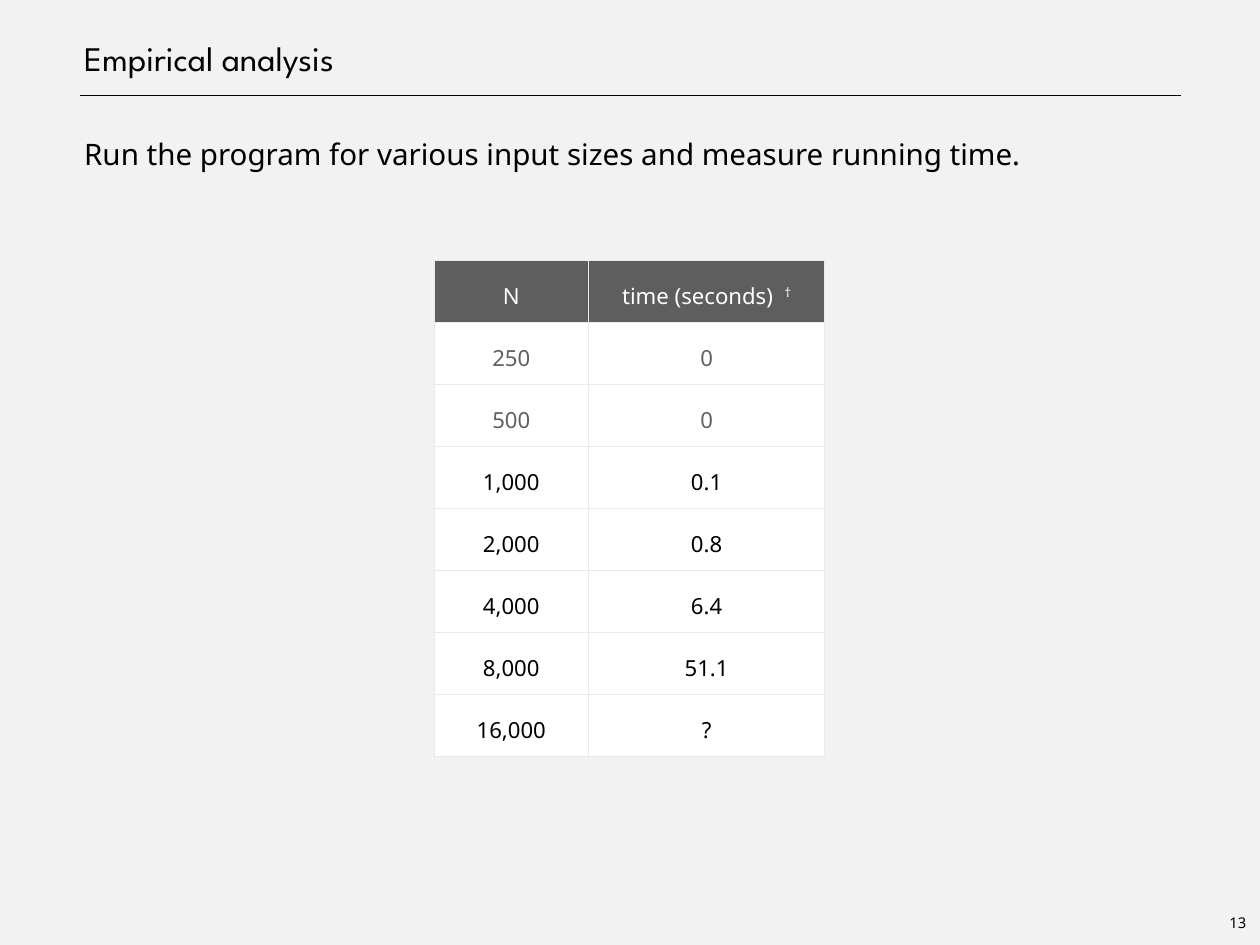
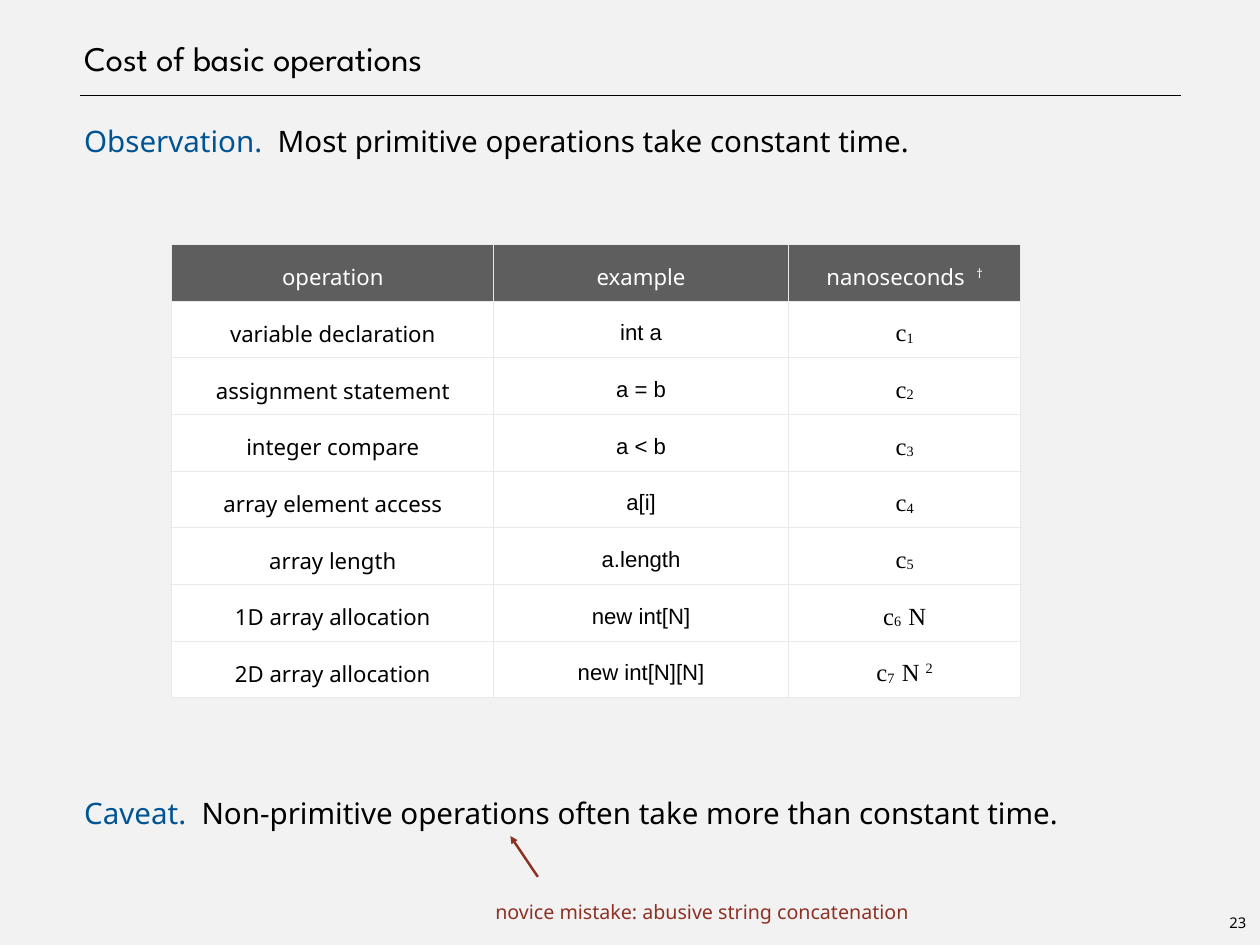
from dataclasses import dataclass

from lxml.etree import SubElement
from pptx import Presentation
from pptx.dml.color import RGBColor
from pptx.enum.shapes import MSO_CONNECTOR as Connector
from pptx.enum.text import MSO_ANCHOR as Anchor, PP_ALIGN as Align
from pptx.oxml.ns import qn
from pptx.util import Inches, Pt

PAPER, BLACK, WHITE = "F2F2F2", "000000", "FFFFFF"
BLUE, BRICK, HEADER, FAINT, BORDER = "005493", "8D3124", "5E5E5E", "606060", "E7EAEB"
SANS, TITLE, CODE, MATH = "Noto Sans", "League Spartan", "Arial", "Times New Roman"
SUB, SUPER = -6, 32
LEFT, WIDTH, PAD = 0.89, 12.44, 0.06


def rgb(color):
    return RGBColor.from_string(color)


@dataclass
class Span:
    """A run of text; baseline is a percentage, as for sub- and superscripts."""
    text: str
    size: float = 18
    color: str = BLACK
    font: str = SANS
    baseline: int = 0

    def add_to(self, paragraph):
        run = paragraph.add_run()
        run.text = self.text
        run.font.size = Pt(self.size)
        run.font.name = self.font
        run.font.color.rgb = rgb(self.color)
        if self.baseline:
            run._r.get_or_add_rPr().set("baseline", str(self.baseline * 1000))


class Deck:
    def __init__(self):
        self.prs = Presentation()
        self.prs.slide_width, self.prs.slide_height = Inches(14.22), Inches(10.67)
        self.slide = None

    def new_slide(self, title, number):
        self.slide = self.prs.slides.add_slide(self.prs.slide_layouts[6])
        fill = self.slide.background.fill
        fill.solid()
        fill.fore_color.rgb = rgb(PAPER)
        self.line((0.9, 1.08), (13.33, 1.08), BLACK, 1)
        self.text((LEFT, 0, WIDTH, 0.89), [[Span(title, 28, font=TITLE)]],
                  (PAD, 0, 0, 0), anchor=Anchor.BOTTOM)
        self.text((13.8, 10.26, 0.34, 0.31), [[Span(str(number), 12)]], (PAD,) * 4,
                  anchor=Anchor.MIDDLE, align=Align.CENTER, wrap=False)

    def text(self, box, paragraphs, insets, anchor=Anchor.TOP, align=Align.LEFT,
             wrap=True, spacing=None, gap=0):
        """Add a text box; gap is the space in points between paragraphs."""
        frame = self.slide.shapes.add_textbox(*map(Inches, box)).text_frame
        frame.word_wrap = wrap
        frame.vertical_anchor = anchor
        (frame.margin_left, frame.margin_top,
         frame.margin_right, frame.margin_bottom) = map(Inches, insets)
        for index, spans in enumerate(paragraphs):
            paragraph = frame.add_paragraph() if index else frame.paragraphs[0]
            paragraph.alignment = align
            if spacing:
                paragraph.line_spacing = spacing
            if index:
                paragraph.space_before = Pt(gap)
            for span in spans:
                span.add_to(paragraph)

    def body(self, top, paragraphs, gap=0):
        self.text((LEFT, top, WIDTH, 8.89), paragraphs, (PAD, 0, 0, 0),
                  spacing=Pt(39), gap=gap)

    def line(self, start, end, color, width, arrow_at_start=False):
        connector = self.slide.shapes.add_connector(
            Connector.STRAIGHT, *map(Inches, start + end))
        connector.line.color.rgb = rgb(color)
        connector.line.width = Pt(width)
        if arrow_at_start:
            SubElement(connector.line._get_or_add_ln(), qn("a:headEnd"), type="triangle")
        SubElement(connector._element.spPr, qn("a:effectLst"))

    def table(self, left, top, widths, row_height, rows):
        """Add a bordered table from rows of cells, each a list of spans."""
        table = self.slide.shapes.add_table(
            len(rows), len(widths), Inches(left), Inches(top),
            Inches(sum(widths)), Inches(row_height * len(rows))).table
        table.first_row = table.horz_banding = False
        for column, width in zip(table.columns, widths):
            column.width = Inches(width)
        for row_index, row in enumerate(rows):
            table.rows[row_index].height = Inches(row_height)
            for column_index, spans in enumerate(row):
                self.cell(table.cell(row_index, column_index), spans,
                          WHITE if row_index else HEADER)

    def cell(self, cell, spans, background):
        cell.margin_left = cell.margin_right = Inches(PAD)
        cell.margin_top = cell.margin_bottom = Inches(PAD)
        cell.vertical_anchor = Anchor.MIDDLE
        for side in ("lnL", "lnR", "lnT", "lnB"):
            edge = SubElement(cell._tc.get_or_add_tcPr(), qn(f"a:{side}"), w=str(Pt(1)))
            SubElement(SubElement(edge, qn("a:solidFill")), qn("a:srgbClr"), val=BORDER)
        cell.fill.solid()
        cell.fill.fore_color.rgb = rgb(background)
        paragraph = cell.text_frame.paragraphs[0]
        paragraph.alignment = Align.CENTER
        paragraph.line_spacing = 1.3
        for span in spans:
            span.add_to(paragraph)


def header_row(*labels):
    """Header cells, the last one marked with a dagger."""
    cells = [[Span(label, color=WHITE)] for label in labels]
    cells[-1] = [Span(labels[-1] + "  ", color=WHITE),
                 Span("†", color=WHITE, baseline=SUPER)]
    return cells


def cost(index, factor="", power=""):
    """Spans for a constant c with its index, and a power of N if given."""
    parts = [("c", 0), (f"{index}  " if factor else str(index), SUB),
             (factor, 0), (power, SUPER)]
    return [Span(text, 20, font=MATH, baseline=baseline)
            for text, baseline in parts if text]


def empirical_analysis(deck):
    deck.new_slide("Empirical analysis", 13)
    deck.body(1.39, [[Span(
        "Run the program for various input sizes and measure running time.", 24)]])
    timings = [("250", "0"), ("500", "0"), ("1,000", "0.1"), ("2,000", "0.8"),
               ("4,000", "6.4"), ("8,000", "51.1"), ("16,000", "?")]
    rows = [[[Span(value, color=FAINT if seconds == "0" else BLACK)]
             for value in (size, seconds)] for size, seconds in timings]
    deck.table(4.9, 2.94, (1.74, 2.67), 0.7, [header_row("N", "time (seconds)")] + rows)


def basic_operations(deck):
    deck.new_slide("Cost of basic operations", 23)
    deck.body(1.25, [
        [Span("Observation.  ", 24, BLUE),
         Span("Most primitive operations take constant time.", 24)],
        [Span("Caveat.  ", 24, BLUE),
         Span("Non-primitive operations often take more than constant time.", 24)],
    ], gap=507)
    operations = [
        ("variable declaration", "int a"),
        ("assignment statement", "a = b"),
        ("integer compare", "a < b"),
        ("array element access", "a[i]"),
        ("array length", "a.length"),
        ("1D array allocation", "new int[N]", "N"),
        ("2D array allocation", "new int[N][N]", "N ", "2"),
    ]
    rows = [[[Span(operation)], [Span(example, font=CODE)], cost(index, *growth)]
            for index, (operation, example, *growth) in enumerate(operations, 1)]
    deck.table(1.94, 2.76, (3.63, 3.33, 2.62), 0.64,
               [header_row("operation", "example", "nanoseconds")] + rows)
    deck.text((5.47, 9.97, 5.06, 0.38),
              [[Span("novice mistake: abusive string concatenation", 16, BRICK)]],
              (2 * PAD, PAD, PAD, PAD), spacing=1.5)
    deck.line((5.76, 9.44), (6.07, 9.9), BRICK, 2, arrow_at_start=True)


def main():
    deck = Deck()
    empirical_analysis(deck)
    basic_operations(deck)
    deck.prs.save("out.pptx")


if __name__ == "__main__":
    main()
